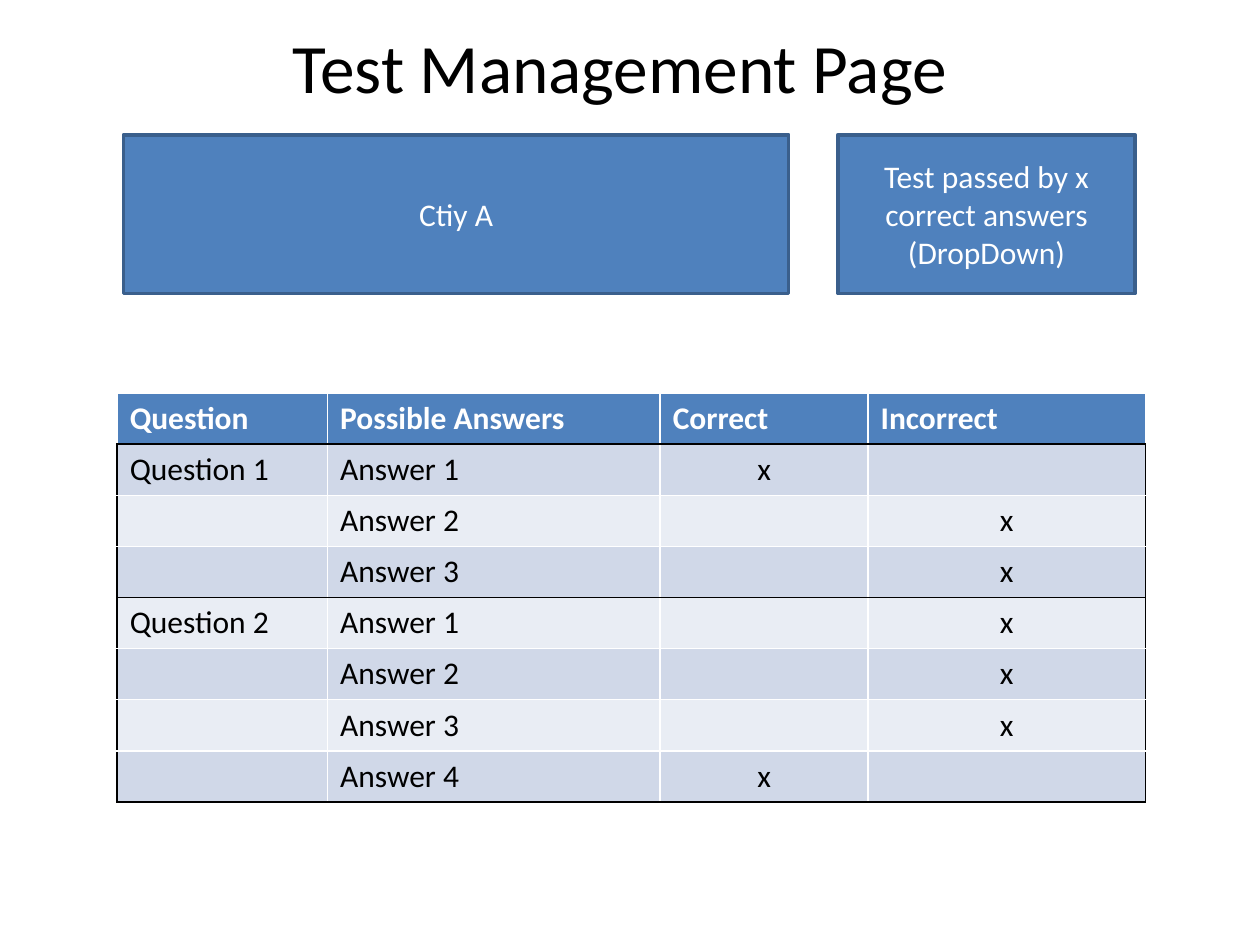
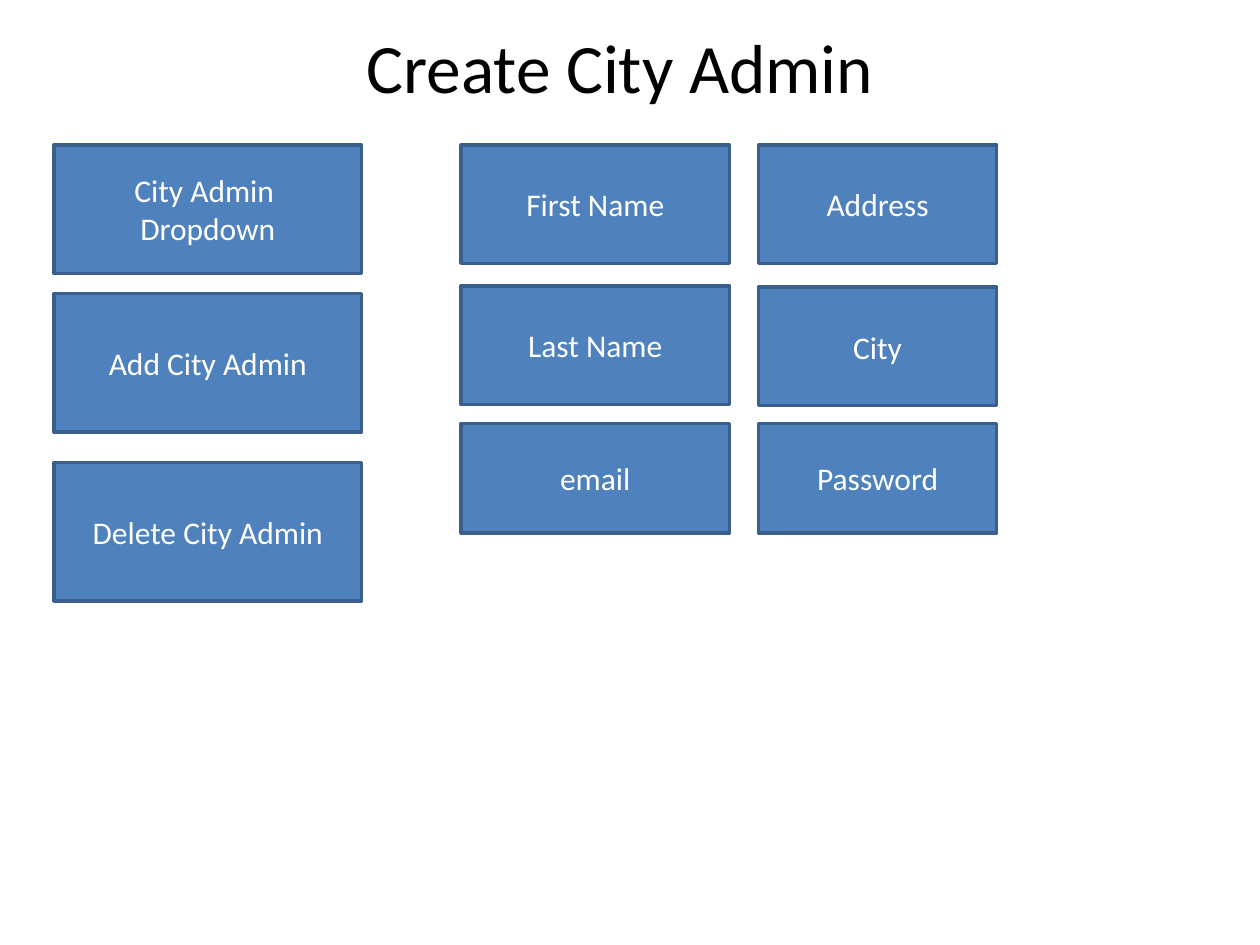
from pptx import Presentation
from pptx.util import Inches, Pt
from pptx.dml.color import RGBColor
from pptx.enum.shapes import MSO_SHAPE
from pptx.enum.text import MSO_ANCHOR, MSO_AUTO_SIZE, PP_ALIGN
from lxml.etree import SubElement
from pptx.oxml.ns import qn

HUES = {"blue": "4F81BD", "edge": "3A5F8C", "dark": "D0D8E8",
        "pale": "E9EDF4", "white": "FFFFFF", "black": "000000"}
RECT, STEP = MSO_SHAPE.RECTANGLE, MSO_SHAPE.FLOWCHART_PROCESS


def style(frame, size, hue, align=PP_ALIGN.CENTER, bold=False):
    for para in frame.paragraphs:
        para.alignment = align
        para.font.name = "Calibri"
        para.font.size = Pt(size)
        para.font.bold = bold
        para.font.color.rgb = RGBColor.from_string(HUES[hue])


def border(cell, sides):
    props = cell._tc.get_or_add_tcPr()
    for side, hue in sides.items():
        line = SubElement(props, qn(f"a:ln{side}"), w=str(Pt(1)))
        fill = SubElement(line, qn("a:solidFill"))
        SubElement(fill, qn("a:srgbClr"), val=HUES[hue])


pages = [
    ("Test Management Page", [
        (RECT, 0.98, 1.07, 5.28, 1.26, "Ctiy A"),
        (RECT, 6.65, 1.07, 2.36, 1.26, "Test passed by x correct answers (DropDown)"),
    ]),
    ("Create City Admin", [
        (STEP, 3.66, 1.15, 2.13, 0.94, "First Name"),
        (STEP, 3.66, 2.27, 2.13, 0.94, "Last Name"),
        (RECT, 3.66, 3.36, 2.13, 0.87, "email"),
        (STEP, 6.02, 1.15, 1.89, 0.94, "Address"),
        (STEP, 6.02, 2.28, 1.89, 0.94, "City"),
        (STEP, 6.02, 3.36, 1.89, 0.87, "Password"),
        (STEP, 0.43, 1.15, 2.44, 1.02, "City Admin \nDropdown"),
        (STEP, 0.43, 2.33, 2.44, 1.1, "Add City Admin"),
        (RECT, 0.43, 3.67, 2.44, 1.1, "Delete City Admin"),
    ]),
]

deck = Presentation()
deck.slide_width, deck.slide_height = Inches(10), Inches(7.5)

for name, boxes in pages:
    slide = deck.slides.add_slide(deck.slide_layouts[5])
    title = slide.shapes.title
    title.left, title.top = Inches(1.3), Inches(0.29)
    title.width, title.height = Inches(7.24), Inches(0.47)
    title.text = name
    title.text_frame.auto_size = MSO_AUTO_SIZE.NONE
    title.text_frame.vertical_anchor = MSO_ANCHOR.MIDDLE
    style(title.text_frame, 39.6, "black")

    for kind, left, top, width, height, text in boxes:
        box = slide.shapes.add_shape(
            kind, Inches(left), Inches(top), Inches(width), Inches(height))
        box.shadow.inherit = False
        box.fill.solid()
        box.fill.fore_color.rgb = RGBColor.from_string(HUES["blue"])
        box.line.color.rgb = RGBColor.from_string(HUES["edge"])
        box.line.width = Pt(2)
        box.text_frame.text = text
        box.text_frame.word_wrap = True
        box.text_frame.vertical_anchor = MSO_ANCHOR.MIDDLE
        style(box.text_frame, 18, "white")

quiz = [("Question 1", 3, 1), ("Question 2", 4, 4)]
rows = [("Question", "Possible Answers", "Correct", "Incorrect")]
starts = []
for label, count, right in quiz:
    starts.append(len(rows))
    for num in range(1, count + 1):
        marks = ("x", "") if num == right else ("", "x")
        rows.append((label if num == 1 else "", f"Answer {num}", *marks))
starts.append(len(rows))

widths = [1.67, 2.64, 1.65, 2.2]
grid = deck.slides[0].shapes.add_table(
    len(rows), len(widths), Inches(0.93), Inches(3.12),
    Inches(sum(widths)), Inches(3.24)).table
for col, width in zip(grid.columns, widths):
    col.width = Inches(width)

for r, row in enumerate(rows):
    for c, text in enumerate(row):
        cell = grid.cell(r, c)
        border(cell, {
            "L": "black" if r and c == 0 else "white",
            "R": "black" if r and c == len(row) - 1 else "white",
            "T": "black" if r in starts else "white",
            "B": "black" if r + 1 in starts else "white"})
        cell.fill.solid()
        band = ("dark" if r % 2 else "pale") if r else "blue"
        cell.fill.fore_color.rgb = RGBColor.from_string(HUES[band])
        cell.text = text
        align = PP_ALIGN.CENTER if r and c > 1 else PP_ALIGN.LEFT
        style(cell.text_frame, 18, "black" if r else "white", align, r == 0)

deck.save("out.pptx")
